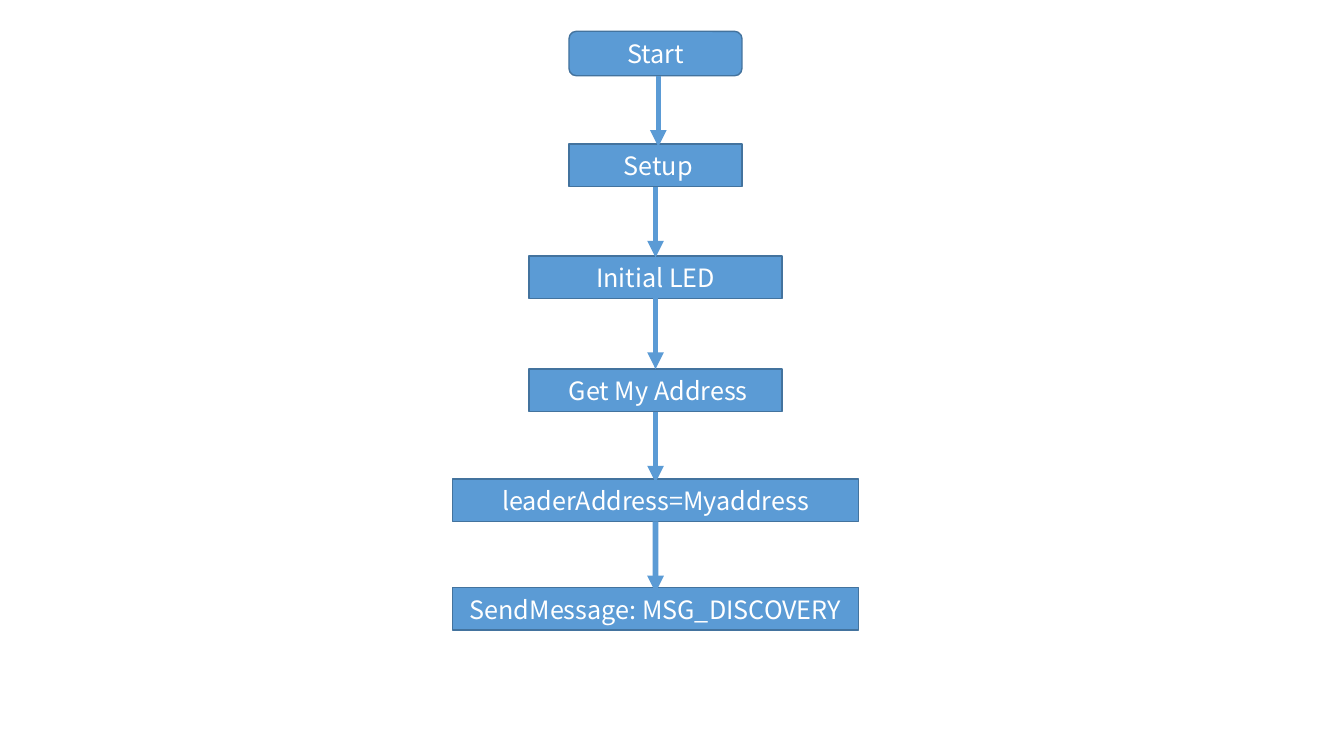
from pptx import Presentation
from pptx.dml.color import RGBColor
from pptx.enum.shapes import MSO_CONNECTOR as Connector, MSO_SHAPE as Shape
from pptx.enum.text import MSO_ANCHOR as Anchor, PP_ALIGN as Align
from pptx.oxml.ns import qn
from pptx.util import Cm, Pt
from lxml.etree import SubElement

BLUE = RGBColor(0x5B, 0x9B, 0xD5)
DARK_BLUE = RGBColor(0x43, 0x73, 0x9E)
WHITE = RGBColor(0xFF, 0xFF, 0xFF)
FONT_FORMAT = {"name": "Noto Sans CJK SC", "size": Pt(18)}

CENTRE = 16.52
ARROW_LENGTH = 1.79
FIRST_ARROW_X = 16.59

# Flow steps: text, shape, top, width, height in cm
STEPS = [
    ("Start", Shape.ROUNDED_RECTANGLE, 0.79, 4.36, 1.12),
    (" Setup", Shape.RECTANGLE, 3.63, 4.36, 1.07),
    ("Initial LED", Shape.RECTANGLE, 6.45, 6.38, 1.07),
    (" Get My Address", Shape.RECTANGLE, 9.3, 6.38, 1.07),
    ("leaderAddress=Myaddress", Shape.RECTANGLE, 12.07, 10.24, 1.07),
    ("SendMessage: MSG_DISCOVERY", Shape.RECTANGLE, 14.81, 10.24, 1.07),
]

deck = Presentation()
deck.slide_width, deck.slide_height = Cm(33.87), Cm(19.05)
page = deck.slides.add_slide(deck.slide_layouts[6])

# Step boxes
boxes = []
for text, kind, top, width, height in STEPS:
    box = page.shapes.add_shape(
        kind, Cm(CENTRE - width / 2), Cm(top), Cm(width), Cm(height))
    box.shadow.inherit = False
    box.fill.solid()
    box.fill.fore_color.rgb = BLUE
    box.line.color.rgb = DARK_BLUE
    box.line.width = Pt(1)
    frame = box.text_frame
    frame.word_wrap = True
    frame.vertical_anchor = Anchor.MIDDLE
    para = frame.paragraphs[0]
    para.alignment = Align.CENTER
    span = para.add_run()
    span.text = text
    for name, value in FONT_FORMAT.items():
        setattr(span.font, name, value)
    span.font.color.rgb = WHITE
    boxes.append(box)

# Arrows of equal length; the first one runs slightly right of the centre
for index, (upper, lower) in enumerate(zip(boxes, boxes[1:])):
    x = Cm(CENTRE if index else FIRST_ARROW_X)
    start = upper.top + upper.height
    end = start + Cm(ARROW_LENGTH)
    arrow = page.shapes.add_connector(Connector.STRAIGHT, x, start, x, end)
    if index:
        arrow.begin_connect(upper, 2)
        if abs(end - lower.top) < Cm(0.03):
            arrow.end_connect(lower, 0)
    arrow.line.color.rgb = BLUE
    arrow.line.width = Pt(4)
    SubElement(arrow.line._get_or_add_ln(), qn("a:tailEnd"), type="triangle")
    SubElement(arrow._element.spPr, qn("a:effectLst"))

deck.save("out.pptx")
